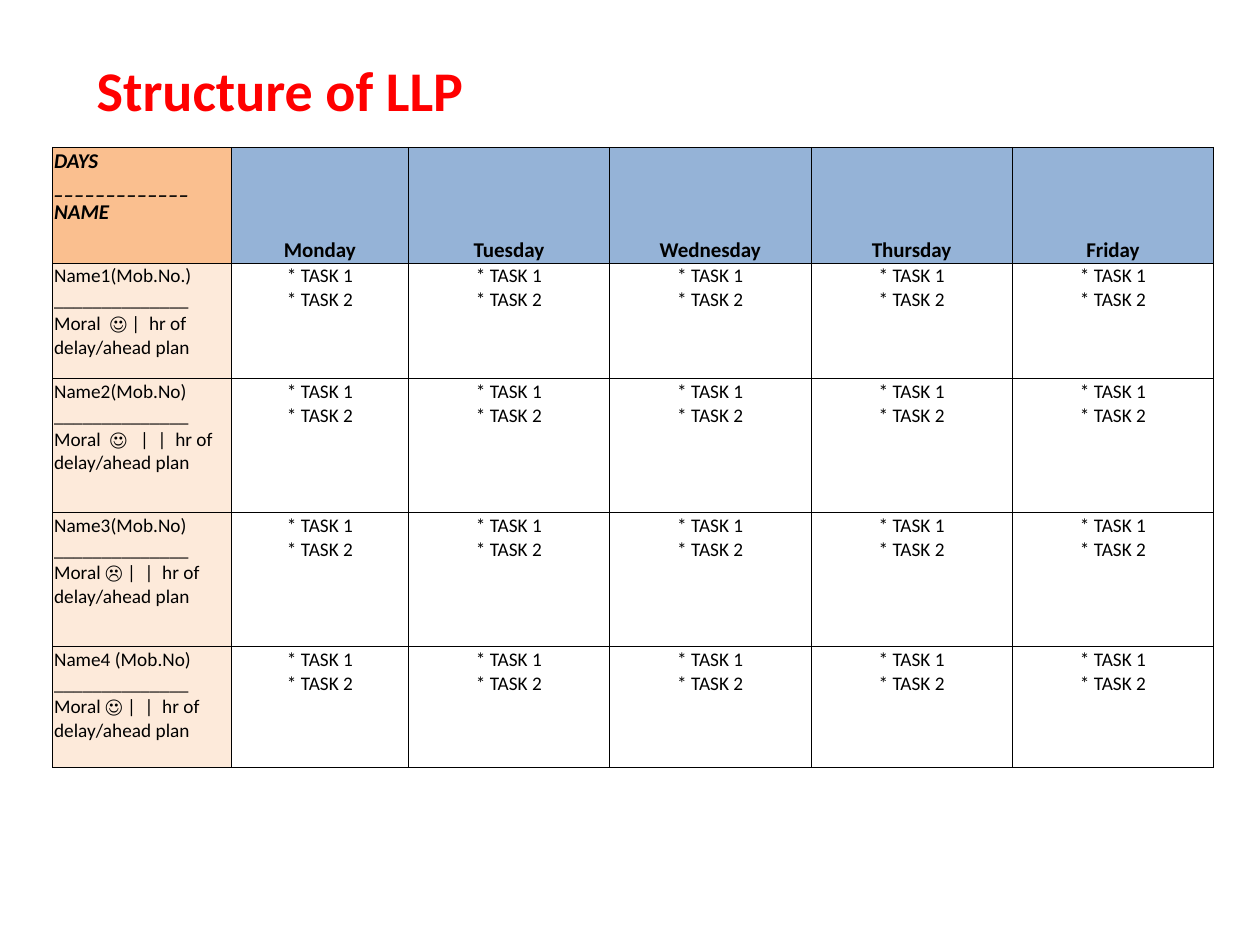
"""Build the weekly LLP plan: a title above a table of names, days and tasks."""
import pptx
import pptx.dml.color
import pptx.enum.text
import pptx.oxml
import pptx.oxml.ns
import pptx.util

Cm = pptx.util.Cm
Pt = pptx.util.Pt
RGBColor = pptx.dml.color.RGBColor
ALIGN = pptx.enum.text.PP_ALIGN
ANCHOR = pptx.enum.text.MSO_ANCHOR

RED = RGBColor(0xFF, 0x00, 0x00)
BLACK = RGBColor(0x00, 0x00, 0x00)
ORANGE = RGBColor(0xFA, 0xBF, 0x8F)
BLUE = RGBColor(0x95, 0xB3, 0xD7)
PEACH = RGBColor(0xFD, 0xEA, 0xDA)

FONT = "Calibri"
COLUMN_WIDTHS = [3.61, 3.56] + [4.06] * 4
ROW_HEIGHTS = [2.33, 2.33, 2.7, 2.7, 2.43]
DAYS = ["Monday", "Tuesday", "Wednesday", "Thursday", "Friday"]
TASKS = ["* TASK 1", "* TASK 2"]
NAME_RULE = "_" * 14
PEOPLE = [
    ("Name1(Mob.No.)", "Moral  ☺ |  hr of delay/ahead plan"),
    ("Name2(Mob.No)", "Moral  ☺   |  |  hr of delay/ahead plan"),
    ("Name3(Mob.No)", "Moral ☹ |  |  hr of delay/ahead plan"),
    ("Name4 (Mob.No)", "Moral ☺ |  |  hr of delay/ahead plan"),
]


def add_lines(para, lines, size, color=BLACK, bold=False, italic=False):
    """Add each line as a run, with line breaks between them."""
    for index, line in enumerate(lines):
        if index:
            para.add_line_break()
        span = para.add_run()
        span.text = line
        span.font.name = FONT
        span.font.size = Pt(size)
        span.font.color.rgb = color
        span.font.bold = bold
        span.font.italic = italic


def add_title(page, text):
    """Place and format the title placeholder."""
    box = page.shapes.title
    box.left, box.top, box.width, box.height = Cm(-0.84), Cm(0.84), Cm(17.98), Cm(1.9)
    frame = box.text_frame
    frame.margin_left = Cm(2.79)
    frame.vertical_anchor = ANCHOR.MIDDLE
    para = frame.paragraphs[0]
    para.alignment = ALIGN.LEFT
    add_lines(para, [text], 32, RED, bold=True)


def add_borders(cell):
    """Draw a thin black line on all four sides of a cell."""
    properties = cell._tc.get_or_add_tcPr()
    for side in ("lnL", "lnR", "lnT", "lnB"):
        properties.append(pptx.oxml.parse_xml(
            f'<a:{side} {pptx.oxml.ns.nsdecls("a")} w="{Pt(0.5)}">'
            f'<a:solidFill><a:srgbClr val="{BLACK}"/></a:solidFill></a:{side}>'))


def fill_cell(cell, lines, fill=None, size=11, align=ALIGN.CENTER,
              anchor=ANCHOR.TOP, bold=False, italic=False):
    """Give a cell its borders, fill and text."""
    add_borders(cell)
    if fill is None:
        cell.fill.background()
    else:
        cell.fill.solid()
        cell.fill.fore_color.rgb = fill
    cell.margin_left = cell.margin_right = cell.margin_top = Cm(0.03)
    cell.margin_bottom = 0
    cell.vertical_anchor = anchor
    para = cell.text_frame.paragraphs[0]
    para.alignment = align
    add_lines(para, lines, size, bold=bold, italic=italic)


def add_plan_table(page):
    """Add the table with one row per person and one column per day."""
    table = page.shapes.add_table(
        len(ROW_HEIGHTS), len(COLUMN_WIDTHS), Cm(1.06), Cm(2.97),
        Cm(sum(COLUMN_WIDTHS)), Cm(sum(ROW_HEIGHTS))).table
    table.first_row = table.horz_banding = False
    for column, width in zip(table.columns, COLUMN_WIDTHS):
        column.width = Cm(width)
    for row, height in zip(table.rows, ROW_HEIGHTS):
        row.height = Cm(height)

    fill_cell(table.cell(0, 0), ["DAYS", "_" * 13, "NAME"], ORANGE, 12,
              ALIGN.LEFT, bold=True, italic=True)
    for column, day in enumerate(DAYS, 1):
        fill_cell(table.cell(0, column), [day], BLUE, 12,
                  anchor=ANCHOR.BOTTOM, bold=True)
    for row, (name, moral) in enumerate(PEOPLE, 1):
        fill_cell(table.cell(row, 0), [name, NAME_RULE, moral], PEACH,
                  align=ALIGN.LEFT)
        for column in range(1, len(DAYS) + 1):
            fill_cell(table.cell(row, column), TASKS)


def main():
    """Build and save the deck."""
    deck = pptx.Presentation()
    deck.slide_width, deck.slide_height = Cm(25.4), Cm(19.05)
    page = deck.slides.add_slide(deck.slide_layouts[5])
    add_title(page, "Structure of LLP")
    add_plan_table(page)
    deck.save("out.pptx")


if __name__ == "__main__":
    main()
